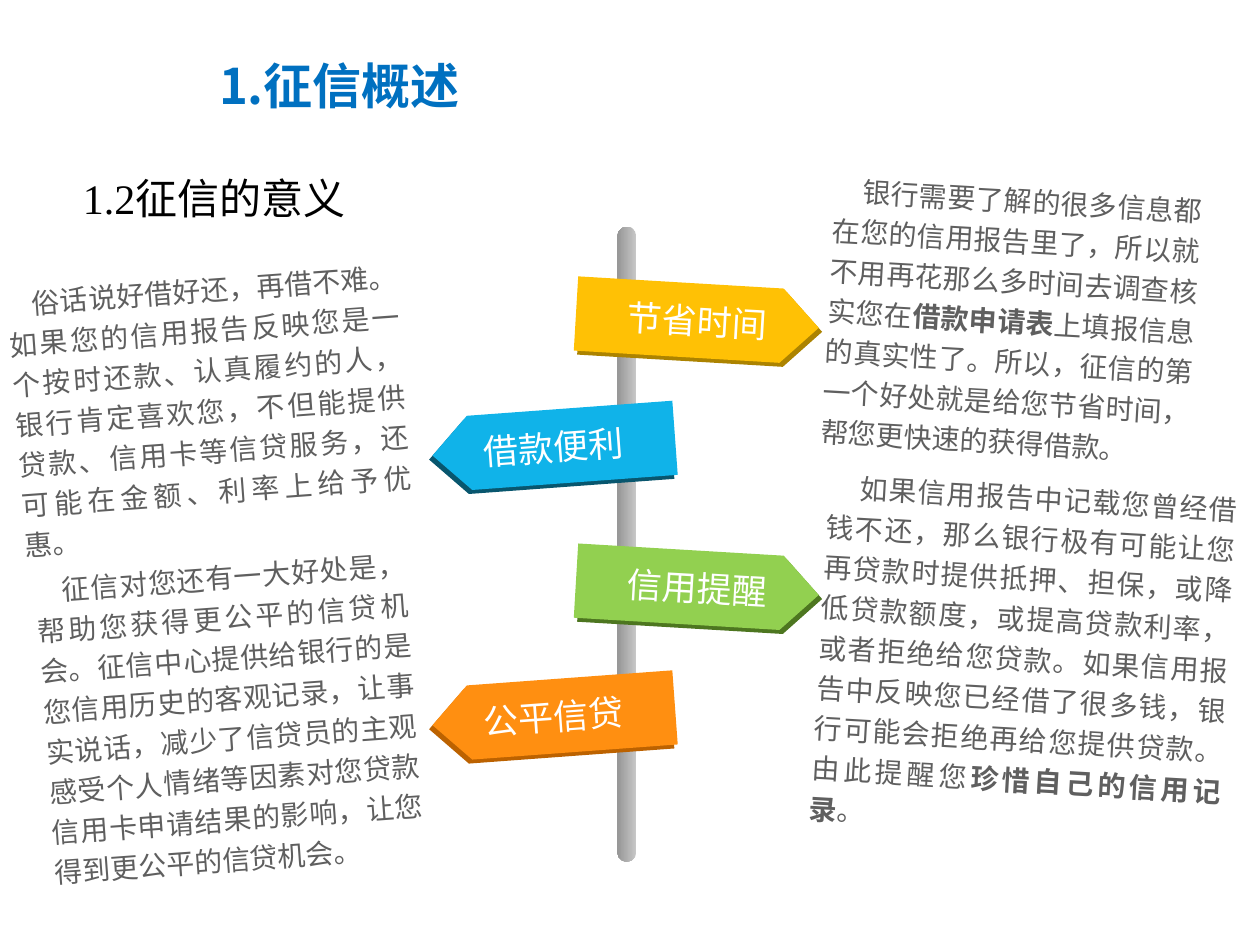
import pptx
import pptx.util
import pptx.dml.color
import pptx.enum.shapes
import pptx.enum.text
import pptx.oxml.ns
from lxml import etree

COLORS = {
    "title": "0070C0", "subtitle": "000000", "body": "5F5F5F", "label": "FFFFFF",
    "pole_light": "C7C7C7", "pole_dark": "969696",
    "yellow": "FFC105", "yellow_edge": "AC8300",
    "blue": "10B3E9", "blue_edge": "08566E",
    "green": "92D050", "green_edge": "4D7620",
    "orange": "FF8F11", "orange_edge": "BC6200",
}
SANS = "Noto Sans CJK SC"
SERIF = "Times New Roman"
ALIGN = pptx.enum.text.PP_ALIGN
ANCHOR = pptx.enum.text.MSO_ANCHOR
TILT = {"right": 3.4, "left": -4.2}
SHADOW_ANGLE = {"right": 50, "left": 130}
SIGN_WIDTH, SIGN_HEIGHT = 1.93, 0.59
SIGN_LEFT = {"right": 4.57, "left": 3.43}
BODY_HEIGHT = 1.17

SIGNS = [
    ("节省时间", "yellow", "right", 2.25, (6.57, 1.94, 2.92, 0.22), [
        ("银行需要了解的很多信息都在您的信用报告里了，所以就不用再花那么多时间去调查核实您在", False),
        ("借款申请表", True),
        ("上填报信息的真实性了。所以，征信的第一个好处就是给您节省时间，帮您更快速的获得借款。", False)]),
    ("借款便利", "blue", "left", 3.25, (0.12, 2.65, 3.1, 0.2), [
        ("俗话说好借好还，再借不难。如果您的信用报告反映您是一个按时还款、认真履约的人，"
         "银行肯定喜欢您，不但能提供贷款、信用卡等信贷服务，还可能在金额、利率上给予优惠。", False)]),
    ("信用提醒", "green", "right", 4.37, (6.5, 4.62, 3.25, 0.25), [
        ("如果信用报告中记载您曾经借钱不还，那么银行极有可能让您再贷款时提供抵押、担保，"
         "或降低贷款额度，或提高贷款利率，或者拒绝给您贷款。如果信用报告中反映您已经借了很多钱，"
         "银行可能会拒绝再给您提供贷款。由此提醒您", False),
        ("珍惜自己的信用记录", True),
        ("。", False)]),
    ("公平信贷", "orange", "left", 5.39, (0.35, 5.09, 2.95, 0.22), [
        ("征信对您还有一大好处是，帮助您获得更公平的信贷机会。征信中心提供给银行的是"
         "您信用历史的客观记录，让事实说话，减少了信贷员的主观感受个人情绪等因素对您贷款"
         "信用卡申请结果的影响，让您得到更公平的信贷机会。", False)]),
]


class SignpostSlide:
    COLUMNS, ROWS = 10, 7.5

    def __init__(self, deck):
        self.column = deck.slide_width / self.COLUMNS
        self.row = deck.slide_height / self.ROWS
        self.slide = deck.slides.add_slide(deck.slide_layouts[6])

    def place(self, left, top, width, height):
        return (round(left * self.column), round(top * self.row),
                round(width * self.column), round(height * self.row))

    def color(self, name):
        return pptx.dml.color.RGBColor.from_string(COLORS[name])

    def style(self, run, size, color, face=SANS, bold=False):
        run.font.size = pptx.util.Pt(size)
        run.font.bold = bold
        run.font.color.rgb = self.color(color)
        run.font.name = face
        east_asian = etree.SubElement(run.font._element, pptx.oxml.ns.qn("a:ea"))
        east_asian.set("typeface", SANS)

    def heading(self, text, box, size, color, face=SANS, bold=False):
        heading = self.slide.shapes.add_textbox(*self.place(*box))
        heading.text_frame.word_wrap = True
        heading.text_frame.text = text
        self.style(heading.text_frame.paragraphs[0].runs[0], size, color, face, bold)
        return heading

    def pole(self, box):
        pole = self.slide.shapes.add_shape(
            pptx.enum.shapes.MSO_SHAPE.ROUNDED_RECTANGLE, *self.place(*box))
        pole.adjustments[0] = 0.5
        pole.shadow.inherit = False
        pole.line.fill.background()
        pole.fill.gradient()
        pole.fill.gradient_angle = 180
        for stop, name in zip(pole.fill.gradient_stops, ("pole_light", "pole_dark")):
            stop.color.rgb = self.color(name)

    def sign(self, label, color, side, top):
        left, top, width, height = self.place(SIGN_LEFT[side], top, SIGN_WIDTH, SIGN_HEIGHT)
        shoulder = width - height // 2
        outline = [(0, 0), (shoulder, 0), (width, height // 2), (shoulder, height), (0, height)]
        if side == "left":
            outline = [(width - x, y) for x, y in outline]
        points = [(left + x, top + y) for x, y in outline]
        builder = self.slide.shapes.build_freeform(*points[0])
        builder.add_line_segments(points[1:], close=True)
        sign = builder.convert_to_shape()
        sign.rotation = TILT[side] % 360
        sign.fill.solid()
        sign.fill.fore_color.rgb = self.color(color)
        sign.line.fill.background()
        self.edge(sign, color + "_edge", SHADOW_ANGLE[side])
        frame = sign.text_frame
        frame.word_wrap = True
        frame.vertical_anchor = ANCHOR.MIDDLE
        frame.text = label
        frame.paragraphs[0].alignment = ALIGN.CENTER
        self.style(frame.paragraphs[0].runs[0], 20, "label")

    def edge(self, sign, color, angle):
        qn = pptx.oxml.ns.qn
        sign.shadow.inherit = False
        effects = sign._element.spPr.find(qn("a:effectLst"))
        shadow = etree.SubElement(
            effects, qn("a:outerShdw"), blurRad="0", dist=str(pptx.util.Pt(3)),
            dir=str(angle * 60000), algn="ctr", rotWithShape="0")
        etree.SubElement(shadow, qn("a:srgbClr"), val=COLORS[color])

    def explanation(self, passages, side, left, top, width, indent):
        explanation = self.slide.shapes.add_textbox(*self.place(left, top, width, BODY_HEIGHT))
        explanation.rotation = TILT[side] % 360
        frame = explanation.text_frame
        frame.word_wrap = True
        frame.vertical_anchor = ANCHOR.MIDDLE
        frame.margin_left = frame.margin_right = frame.margin_top = frame.margin_bottom = 0
        paragraph = frame.paragraphs[0]
        paragraph.alignment = ALIGN.JUSTIFY
        paragraph.line_spacing = 1.2
        properties = paragraph._p.get_or_add_pPr()
        properties.set("indent", str(round(indent * self.column)))
        properties.set("hangingPunct", "0")
        for passage, bold in passages:
            run = paragraph.add_run()
            run.text = passage
            self.style(run, 16, "body", bold=bold)


def main():
    deck = pptx.Presentation()
    deck.slide_width = pptx.util.Inches(10)
    deck.slide_height = pptx.util.Inches(7.5)
    signpost = SignpostSlide(deck)
    signpost.pole((4.9, 1.8, 0.15, 5.04))
    for label, color, side, top, body_place, passages in SIGNS:
        signpost.sign(label, color, side, top)
        signpost.explanation(passages, side, *body_place)
    signpost.heading("1.征信概述", (1.64, 0.39, 4.67, 0.75), 28, "title", bold=True)
    subtitle = signpost.heading("1.2征信的意义", (0.56, 1.32, 2.86, 0.5), 24, "subtitle", SERIF)
    subtitle.text_frame.auto_size = pptx.enum.text.MSO_AUTO_SIZE.SHAPE_TO_FIT_TEXT
    deck.save("out.pptx")


if __name__ == "__main__":
    main()
